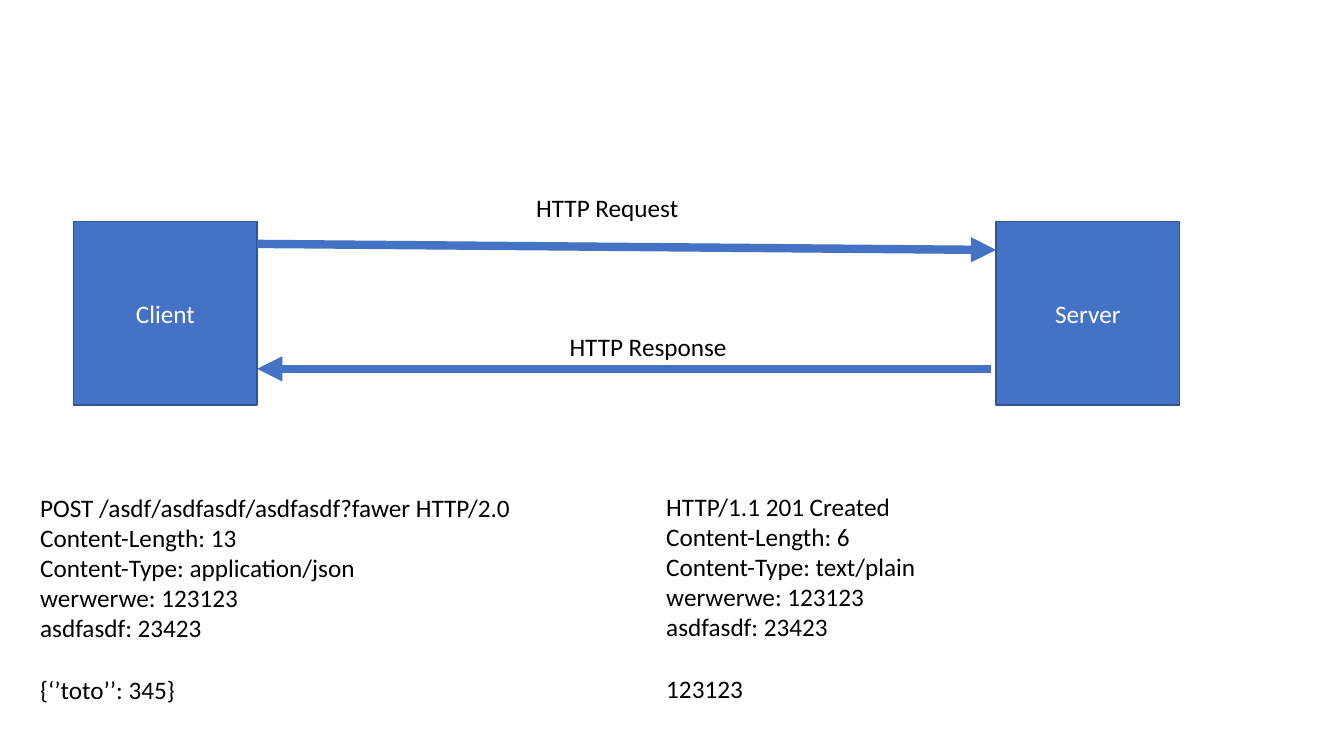
from pptx import Presentation
from pptx.dml.color import RGBColor
from pptx.enum.shapes import MSO_CONNECTOR, MSO_SHAPE
from pptx.enum.text import MSO_ANCHOR, MSO_AUTO_SIZE, PP_ALIGN
from pptx.oxml.ns import qn
from pptx.util import Inches, Pt
from lxml.etree import SubElement

BLUE = RGBColor(0x44, 0x72, 0xC4)
DARK_BLUE = RGBColor(0x32, 0x54, 0x91)
WHITE = RGBColor(0xFF, 0xFF, 0xFF)
BLACK = RGBColor(0, 0, 0)
FONT, SIZE = "Calibri", Pt(18)
BODY_GAP = Pt(22)  # one line between headers and body

NODE_TOP, NODE_SIZE = 2.2, 1.82
NODES = [("Client", 0.73), ("Server", 9.88)]
ARROWS = [((2.55, 2.42), (9.88, 2.48)), ((9.83, 3.66), (2.55, 3.66))]
LABELS = [("HTTP Request", 5.22, 1.86, 1.63), ("HTTP Response", 5.55, 3.24, 1.78)]
# left, top, headers, body
MESSAGES = [
    (0.3, 4.83,
     ["POST /asdf/asdfasdf/asdfasdf?fawer HTTP/2.0", "Content-Length: 13",
      "Content-Type: application/json", "werwerwe: 123123", "asdfasdf: 23423"],
     "{‘’toto’’: 345}"),
    (6.51, 4.82,
     ["HTTP/1.1 201 Created", "Content-Length: 6",
      "Content-Type: text/plain", "werwerwe: 123123", "asdfasdf: 23423"],
     "123123"),
]


def write(tf, lines, color, align=PP_ALIGN.LEFT):
    """Fill a text frame with one formatted paragraph per line."""
    tf.text = "\n".join(lines)
    for p in tf.paragraphs:
        p.alignment = align
        for r in p.runs:
            r.font.name, r.font.size = FONT, SIZE
            r.font.color.rgb = color


def add_node(s, name, left):
    """Draw a square endpoint with its name centred."""
    sp = s.shapes.add_shape(MSO_SHAPE.RECTANGLE, Inches(left), Inches(NODE_TOP),
                            Inches(NODE_SIZE), Inches(NODE_SIZE))
    sp.shadow.inherit = False
    sp.fill.solid()
    sp.fill.fore_color.rgb = BLUE
    sp.line.color.rgb = DARK_BLUE
    sp.line.width = Pt(1)
    sp.text_frame.vertical_anchor = MSO_ANCHOR.MIDDLE
    write(sp.text_frame, [name], WHITE, PP_ALIGN.CENTER)


def add_arrow(s, start, end):
    """Draw a thick arrow from start to end."""
    points = [Inches(v) for v in start + end]
    cn = s.shapes.add_connector(MSO_CONNECTOR.STRAIGHT, *points)
    cn.line.color.rgb = BLUE
    cn.line.width = Pt(6)
    SubElement(cn.line._get_or_add_ln(), qn("a:tailEnd"), type="triangle")
    SubElement(cn._element.spPr, qn("a:effectLst"))


def add_text(s, lines, left, top, width, height, wrap):
    """Add a text box and return its text frame."""
    box = s.shapes.add_textbox(*[Inches(v) for v in (left, top, width, height)])
    tf = box.text_frame
    tf.word_wrap = wrap
    tf.auto_size = MSO_AUTO_SIZE.SHAPE_TO_FIT_TEXT
    write(tf, lines, BLACK)
    return tf


prs = Presentation()
prs.slide_width, prs.slide_height = Inches(13.33), Inches(7.5)
s = prs.slides.add_slide(prs.slide_layouts[6])

for name, left in NODES:
    add_node(s, name, left)
for start, end in ARROWS:
    add_arrow(s, start, end)
for label, left, top, width in LABELS:
    add_text(s, [label], left, top, width, 0.4, False)
for left, top, headers, body in MESSAGES:
    tf = add_text(s, headers + [body], left, top, 5, 2.22, True)
    tf.paragraphs[-1].space_before = BODY_GAP

prs.save("out.pptx")
